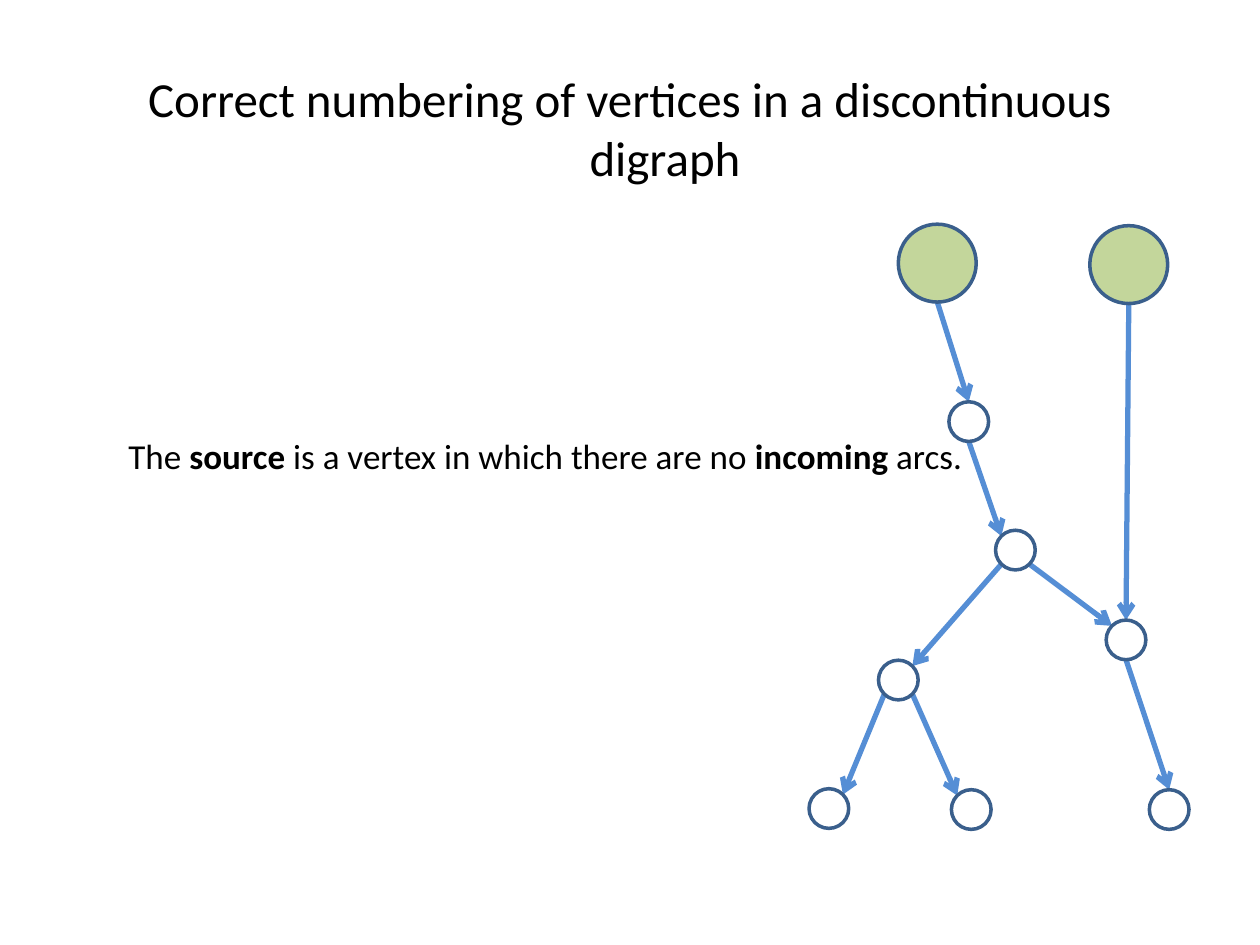
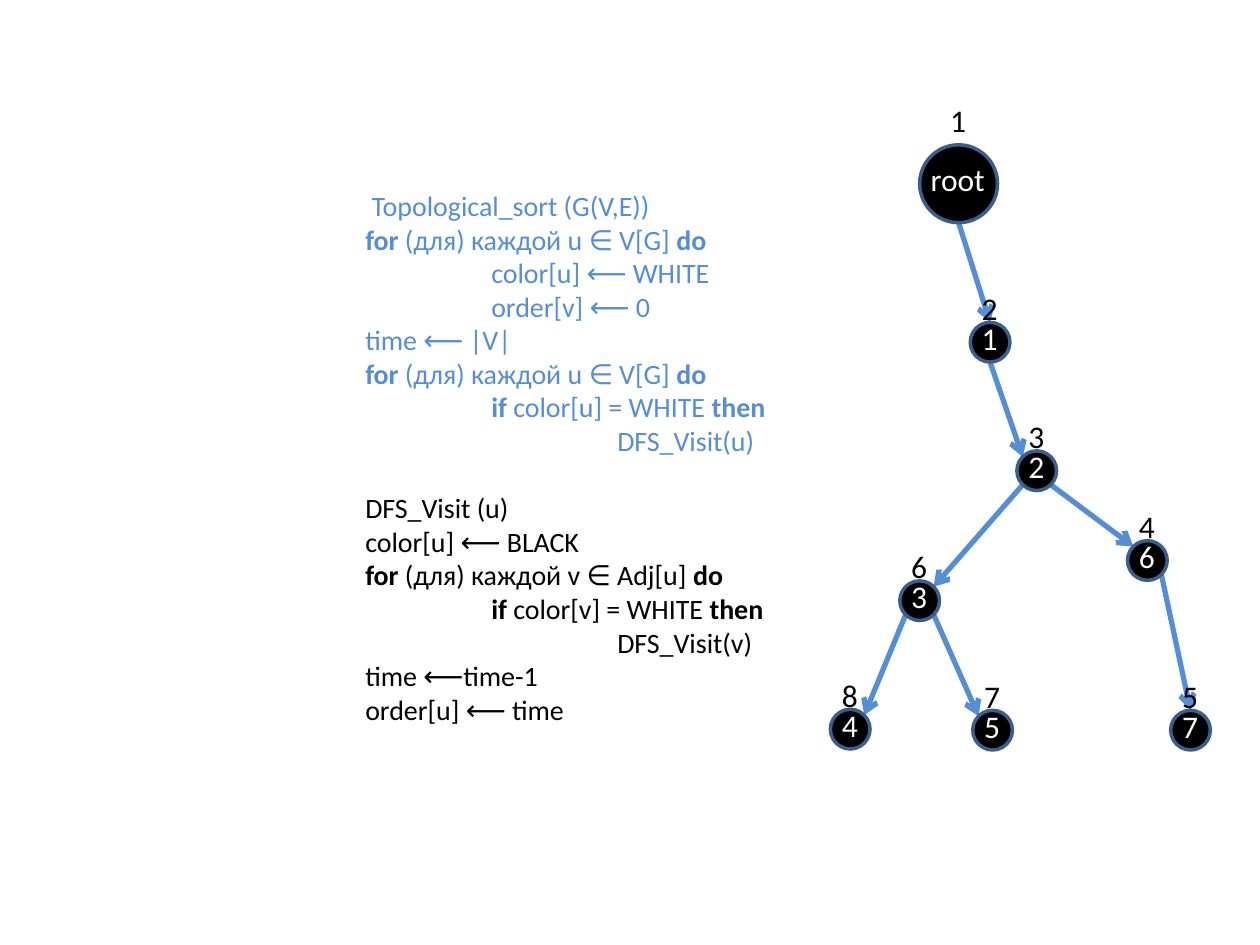
from math import cos, radians, sin

from pptx import Presentation
from pptx.dml.color import RGBColor
from pptx.enum.shapes import MSO_CONNECTOR as Connector, MSO_SHAPE as Shape
from pptx.enum.text import MSO_ANCHOR as Anchor, MSO_AUTO_SIZE as AutoSize, PP_ALIGN as Align
from pptx.oxml.ns import qn
from pptx.util import Cm, Pt
from lxml.etree import SubElement

FONT = "Calibri"
BLACK, WHITE, GREEN = "000000", "FFFFFF", "C3D69B"
ARROW, OUTLINE = "558ED5", "3A5F8C"
BIG, SMALL = 1.57, 0.8
TOP, TOP_LEFT, BOTTOM_LEFT, BOTTOM, BOTTOM_RIGHT, TOP_RIGHT = 270, 225, 135, 90, 45, 315

TREE = {
    "root": (1.8, 0, BIG),
    "1": (2.82, 3.58, SMALL),
    "2": (3.76, 6.17, SMALL),
    "3": (1.4, 8.79, SMALL),
    "4": (0, 11.38, SMALL),
    "5": (2.87, 11.4, SMALL),
    "6": (5.99, 7.98, SMALL),
    "7": (6.86, 11.4, SMALL),
}
SECOND_SOURCE = {"source": (5.66, 0.03, BIG)}
TREE_ARCS = [
    ("root", BOTTOM, "1", TOP),
    ("1", BOTTOM, "2", TOP_LEFT),
    ("2", BOTTOM_LEFT, "3", TOP_RIGHT),
    ("2", BOTTOM_RIGHT, "6", TOP_LEFT),
    ("3", BOTTOM_LEFT, "4", TOP_RIGHT),
    ("3", BOTTOM_RIGHT, "5", TOP_LEFT),
]
ORDERS = {"root": "1", "1": "2", "2": "3", "6": "4", "7": "5", "3": "6", "5": "7", "4": "8"}

SORT_LINES = [
    (0, " Topological_sort (G(V,E))"),
    (0, "*for* (для) каждой u ∈ V[G] *do*"),
    (1, "color[u] ⟵ WHITE"),
    (1, "order[v] ⟵ 0"),
    (0, "time ⟵ |V|"),
    (0, "*for* (для) каждой u ∈ V[G] *do*"),
    (1, "*if* color[u] = WHITE *then*"),
    (2, "DFS_Visit(u)"),
]
VISIT_LINES = [
    (0, "DFS_Visit (u)"),
    (0, "color[u] ⟵ BLACK"),
    (0, "*for* (для) каждой v ∈ Adj[u] *do*"),
    (1, "*if* color[v] = WHITE *then*"),
    (2, "DFS_Visit(v)"),
    (0, "time ⟵time-1"),
    (0, "order[u] ⟵ time"),
]


def rgb(value):
    """Turn a hex string into a colour."""
    return RGBColor.from_string(value)


def write(para, text, size, color):
    """Fill a paragraph; words between asterisks are bold."""
    for index, part in enumerate(text.split("*")):
        if part:
            span = para.add_run()
            span.text = part
            span.font.name, span.font.size = FONT, Pt(size)
            span.font.bold = index % 2 == 1
            span.font.color.rgb = rgb(color)


def indent(para, left, first=0):
    """Set the left margin and first-line indent of a paragraph."""
    props = para._p.get_or_add_pPr()
    props.set("marL", str(Cm(left)))
    props.set("indent", str(Cm(first)))


def place(box, left, top, width, height):
    """Move a text shape to its box, wrapped and centred vertically."""
    box.left, box.top, box.width, box.height = Cm(left), Cm(top), Cm(width), Cm(height)
    frame = box.text_frame
    frame.word_wrap, frame.auto_size = True, AutoSize.NONE
    frame.vertical_anchor = Anchor.MIDDLE
    return frame


def add_label(page, center, top, text, color):
    """Add a small number or word centred on a vertical axis."""
    width = 1.63 if len(text) > 1 else 0.84
    box = page.shapes.add_textbox(Cm(center - width / 2), Cm(top), Cm(width), Cm(1.02))
    box.text_frame.word_wrap = False
    box.text_frame.auto_size = AutoSize.SHAPE_TO_FIT_TEXT
    write(box.text_frame.paragraphs[0], text, 18, color)


def add_vertex(page, left, top, size, fill):
    """Add one round vertex."""
    vertex = page.shapes.add_shape(Shape.OVAL, Cm(left), Cm(top), Cm(size), Cm(size))
    vertex.shadow.inherit = False
    vertex.fill.solid()
    vertex.fill.fore_color.rgb = rgb(fill)
    vertex.line.color.rgb = rgb(OUTLINE)
    vertex.line.width = Pt(2)


def rim(node, angle):
    """Return the point on a vertex outline at an angle, clockwise from the right."""
    left, top, size = node
    radius = size / 2
    return (Cm(left + radius * (1 + cos(radians(angle)))),
            Cm(top + radius * (1 + sin(radians(angle)))))


def add_arc(page, start, end):
    """Add an arrow between two points."""
    arc = page.shapes.add_connector(Connector.STRAIGHT, *start, *end)
    arc.line.color.rgb = rgb(ARROW)
    arc.line.width = Pt(3)
    SubElement(arc.line._get_or_add_ln(), qn("a:tailEnd"), type="arrow")
    SubElement(arc._element.spPr, qn("a:effectLst"))


def add_graph(page, left, top, nodes, arcs, big_fill, small_fill):
    """Draw a digraph from its top-left corner and return the placed nodes."""
    placed = {name: (left + x, top + y, size) for name, (x, y, size) in nodes.items()}
    for source, leave, target, enter in arcs:
        add_arc(page, rim(placed[source], leave), rim(placed[target], enter))
    for x, y, size in placed.values():
        add_vertex(page, x, y, size, big_fill if size == BIG else small_fill)
    return placed


def add_numbers(page, placed):
    """Write each vertex name inside it and its order above it."""
    for name, (left, top, size) in placed.items():
        center = left + size / 2
        add_label(page, center, top + (size - 1.2) / 2, name, WHITE)
        add_label(page, center, top - (1 if size == BIG else 0.8), ORDERS[name], BLACK)


def add_code(frame, blocks):
    """Write coloured code blocks, one paragraph a line, with a gap between blocks."""
    para = frame.paragraphs[0]
    for block, (lines, color) in enumerate(blocks):
        for number, (level, text) in enumerate(lines):
            if block or number:
                para = frame.add_paragraph()
            para.alignment = Align.LEFT
            indent(para, 2.54 * level)
            para.space_before = Pt(19.2 if block and not number else 0)
            write(para, text, 16, color)


def source_slide(deck):
    """Build the slide that defines a source."""
    page = deck.slides.add_slide(deck.slide_layouts[5])
    title = place(page.shapes.title, 1.9, 0.53, 21.59, 4.09).paragraphs[0]
    title.alignment = Align.CENTER
    indent(title, 1.42, -1.42)
    write(title, "Correct numbering of vertices in a discontinuous digraph", 28, BLACK)
    frame = place(page.shapes.add_textbox(0, 0, 0, 0), 2.34, 5.51, 21.59, 8.2)
    frame.margin_bottom = Cm(0.98)
    write(frame.paragraphs[0],
          "The *source* is a vertex in which there are no *incoming* arcs.", 20, BLACK)
    arcs = TREE_ARCS + [("6", BOTTOM, "7", TOP), ("source", BOTTOM, "6", TOP)]
    add_graph(page, 16.31, 4.52, TREE | SECOND_SOURCE, arcs, GREEN, WHITE)


def sort_slide(deck):
    """Build the slide with the topological sort and its numbered tree."""
    page = deck.slides.add_slide(deck.slide_layouts[0])
    subtitle = page.placeholders[1].element
    subtitle.getparent().remove(subtitle)
    frame = place(page.shapes.title, 7.11, 0.91, 17.2, 16.61)
    add_code(frame, [(SORT_LINES, ARROW), (VISIT_LINES, BLACK)])
    arcs = TREE_ARCS + [("6", BOTTOM_RIGHT, "7", TOP)]
    add_numbers(page, add_graph(page, 16.74, 2.92, TREE, arcs, BLACK, BLACK))


def main():
    """Build and save the deck."""
    deck = Presentation()
    deck.slide_width, deck.slide_height = Cm(25.4), Cm(19.05)
    source_slide(deck)
    sort_slide(deck)
    deck.save("out.pptx")


main()
